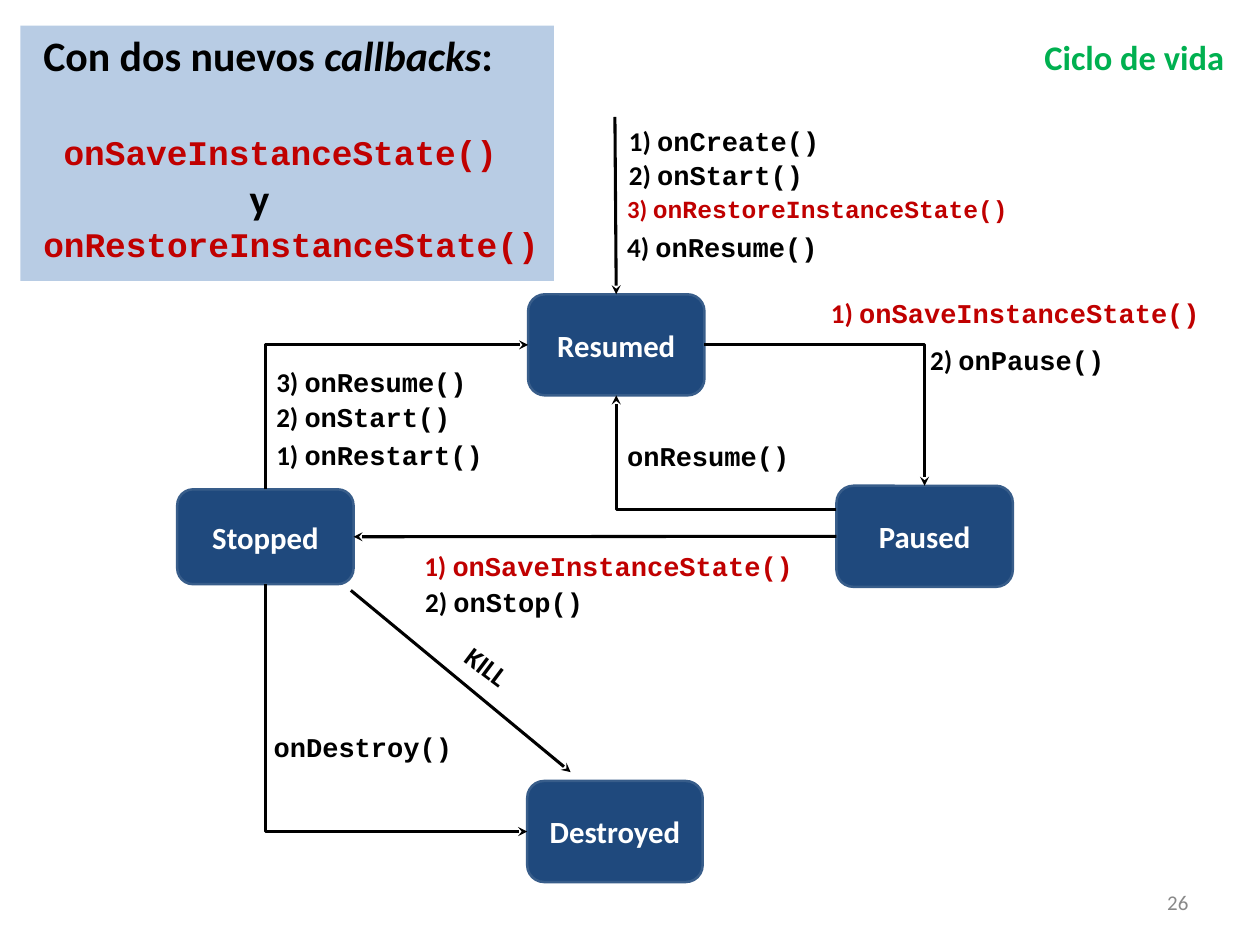
import pptx
import pptx.util
import pptx.dml.color
import pptx.enum.shapes
import pptx.enum.text
import pptx.oxml
import pptx.oxml.ns

COLORS = {
    "black": "000000", "white": "FFFFFF", "red": "C00000", "green": "00B050",
    "gray": "898989", "navy": "1F497D", "border": "385D8A", "panel": "4F81BD",
}
TEXT, CODE = "Calibri", "Courier New"

STATES = {
    "Resumed": (5.96, 3.32, 1.99, 1.14),
    "Paused": (9.44, 5.48, 1.99, 1.14),
    "Stopped": (2, 5.52, 1.99, 1.07),
    "Destroyed": (5.95, 8.81, 1.98, 1.14),
}
TOP, LEFT, BOTTOM, RIGHT = range(4)

STRAIGHT_ARROWS = [
    ((6.94, 1.32), ("Resumed", TOP)),
    (("Paused", LEFT), ("Stopped", RIGHT)),
    ((3.96, 6.66), (6.44, 8.71)),
]
BENT_ARROWS = [
    (("Stopped", TOP), ("Resumed", LEFT), 270, False),
    ((9.44, 5.75), ("Resumed", BOTTOM), 180, False),
    (("Resumed", RIGHT), ("Paused", TOP), 0, False),
    (("Stopped", BOTTOM), ("Destroyed", LEFT), 270, True),
]

CALLBACKS = [
    (7, 1.35, 2.64, "1) ", "onCreate()", 22, "black"),
    (7, 1.74, 2.23, "2) ", "onStart()", 22, "black"),
    (6.98, 2.14, 4.82, "3) ", "onRestoreInstanceState()", 20, "red"),
    (6.98, 2.55, 2.55, "4) ", "onResume()", 22, "black"),
    (9.28, 3.29, 4.38, "1) ", "onSaveInstanceState()", 22, "red"),
    (10.4, 3.82, 2.87, "2) ", "onPause()", 22, "black"),
    (3.02, 4.07, 2.55, "3) ", "onResume()", 22, "black"),
    (3.02, 4.47, 2.23, "2) ", "onStart()", 22, "black"),
    (3.02, 4.9, 2.58, "1) ", "onRestart()", 22, "black"),
    (6.98, 4.91, 2.37, "", "onResume()", 22, "black"),
    (4.69, 6.15, 4.59, "1) ", "onSaveInstanceState()", 22, "red"),
    (4.7, 6.55, 2.24, "2) ", "onStop()", 22, "black"),
    (2.99, 8.19, 2.45, "", "onDestroy()", 22, "black"),
]

HEADLINE = [
    (0, 0, [("Con dos nuevos ", TEXT, 34, "black", False),
            ("callbacks", TEXT, 34, "black", True),
            (":", TEXT, 34, "black", False)]),
    (0.23, 41.5, [("onSaveInstanceState()", CODE, 28, "red", False)]),
    (2.33, 0, [("y", TEXT, 34, "black", False)]),
    (0, 0, [("onRestoreInstanceState()", CODE, 28, "red", False)]),
]

Inches, Pt = pptx.util.Inches, pptx.util.Pt
ALIGN = pptx.enum.text.PP_ALIGN
MIDDLE = pptx.enum.text.MSO_ANCHOR.MIDDLE
SHAPE = pptx.enum.shapes.MSO_SHAPE
CONNECTOR = pptx.enum.shapes.MSO_CONNECTOR


def rgb(name):
    return pptx.dml.color.RGBColor.from_string(COLORS[name])


def add_run(paragraph, text, font, size, color, bold=True, italic=False):
    run = paragraph.add_run()
    run.text = text
    run.font.name = font
    run.font.size = Pt(size)
    run.font.bold = bold
    run.font.italic = italic
    run.font.color.rgb = rgb(color)


def add_text(slide, box, align=ALIGN.LEFT):
    shape = slide.shapes.add_textbox(*map(Inches, box))
    shape.text_frame.word_wrap = True
    paragraph = shape.text_frame.paragraphs[0]
    paragraph.alignment = align
    return shape, paragraph


def add_box(slide, preset, box, fill):
    shape = slide.shapes.add_shape(preset, *map(Inches, box))
    shape.shadow.inherit = False
    shape.fill.solid()
    shape.fill.fore_color.rgb = rgb(fill)
    return shape


def add_state(slide, name):
    shape = add_box(slide, SHAPE.ROUNDED_RECTANGLE, STATES[name], "navy")
    shape.line.color.rgb = rgb("border")
    shape.line.width = Pt(2)
    shape.text_frame.vertical_anchor = MIDDLE
    paragraph = shape.text_frame.paragraphs[0]
    paragraph.alignment = ALIGN.CENTER
    add_run(paragraph, name, TEXT, 25, "white")
    return shape


def locate(end):
    if end[0] not in STATES:
        return end
    left, top, width, height = STATES[end[0]]
    across, down = {TOP: (0.5, 0), LEFT: (0, 0.5), BOTTOM: (0.5, 1), RIGHT: (1, 0.5)}[end[1]]
    return left + width * across, top + height * down


def add_arrow(slide, states, kind, start, end):
    points = map(Inches, locate(start) + locate(end))
    connector = slide.shapes.add_connector(kind, *points)
    connector.line.color.rgb = rgb("black")
    connector.line.width = Pt(2.5)
    if start[0] in states:
        connector.begin_connect(states[start[0]], start[1])
    if end[0] in states:
        connector.end_connect(states[end[0]], end[1])
    namespace = pptx.oxml.ns.nsdecls("a")
    connector.line._get_or_add_ln().append(
        pptx.oxml.parse_xml(f'<a:tailEnd {namespace} type="stealth"/>'))
    connector._element.spPr.append(pptx.oxml.parse_xml(f"<a:effectLst {namespace}/>"))
    return connector


def add_bent_arrow(slide, states, start, end, rotation, flipped):
    connector = add_arrow(slide, states, CONNECTOR.ELBOW, start, end)
    (x1, y1), (x2, y2) = locate(start), locate(end)
    width, height = abs(x2 - x1), abs(y2 - y1)
    if rotation == 270:
        width, height = height, width
    connector.left = Inches((x1 + x2 - width) / 2)
    connector.top = Inches((y1 + y2 - height) / 2)
    connector.width, connector.height = Inches(width), Inches(height)
    properties = connector._element.spPr
    properties.find(pptx.oxml.ns.qn("a:prstGeom")).set("prst", "bentConnector2")
    transform = properties.find(pptx.oxml.ns.qn("a:xfrm"))
    transform.set("rot", str(rotation * 60000))
    transform.set("flipH", str(int(flipped)))
    transform.set("flipV", "0")


def add_headline(slide):
    panel = add_box(slide, SHAPE.RECTANGLE, (0.23, 0.29, 6.02, 2.88), "panel")
    panel.line.fill.background()
    color = panel._element.spPr.find(".//" + pptx.oxml.ns.qn("a:srgbClr"))
    color.append(pptx.oxml.parse_xml(
        f'<a:alpha {pptx.oxml.ns.nsdecls("a")} val="40000"/>'))
    shape, paragraph = add_text(slide, (0.39, 0.29, 5.84, 2.42))
    for index, (indent, space, runs) in enumerate(HEADLINE):
        if index:
            paragraph = shape.text_frame.add_paragraph()
        paragraph.space_before = Pt(space)
        paragraph._p.get_or_add_pPr().set("marL", str(Inches(indent)))
        for text, font, size, color, italic in runs:
            add_run(paragraph, text, font, size, color, italic=italic)


def main():
    presentation = pptx.Presentation()
    presentation.slide_width, presentation.slide_height = Inches(14.22), Inches(10.66)
    slide = presentation.slides.add_slide(presentation.slide_layouts[6])

    number, paragraph = add_text(slide, (10.19, 9.89, 3.32, 0.57), ALIGN.RIGHT)
    number.text_frame.vertical_anchor = MIDDLE
    add_run(paragraph, "26", TEXT, 17, "gray", bold=False)
    title, paragraph = add_text(slide, (11.44, 0.36, 2.72, 0.57), ALIGN.CENTER)
    add_run(paragraph, "Ciclo de vida", TEXT, 28, "green")

    states = {name: add_state(slide, name) for name in STATES}
    for start, end in STRAIGHT_ARROWS:
        add_arrow(slide, states, CONNECTOR.STRAIGHT, start, end)
    for start, end, rotation, flipped in BENT_ARROWS:
        add_bent_arrow(slide, states, start, end, rotation, flipped)

    for left, top, width, step, callback, size, color in CALLBACKS:
        label, paragraph = add_text(slide, (left, top, width, 0.47))
        if step:
            add_run(paragraph, step, TEXT, size, color)
        add_run(paragraph, callback, CODE, size, color)
    kill, paragraph = add_text(slide, (4.39, 7.23, 1.91, 0.97), ALIGN.CENTER)
    kill.rotation = 37
    add_run(paragraph, "KILL", TEXT, 22, "black")

    add_headline(slide)
    presentation.save("out.pptx")


if __name__ == "__main__":
    main()
